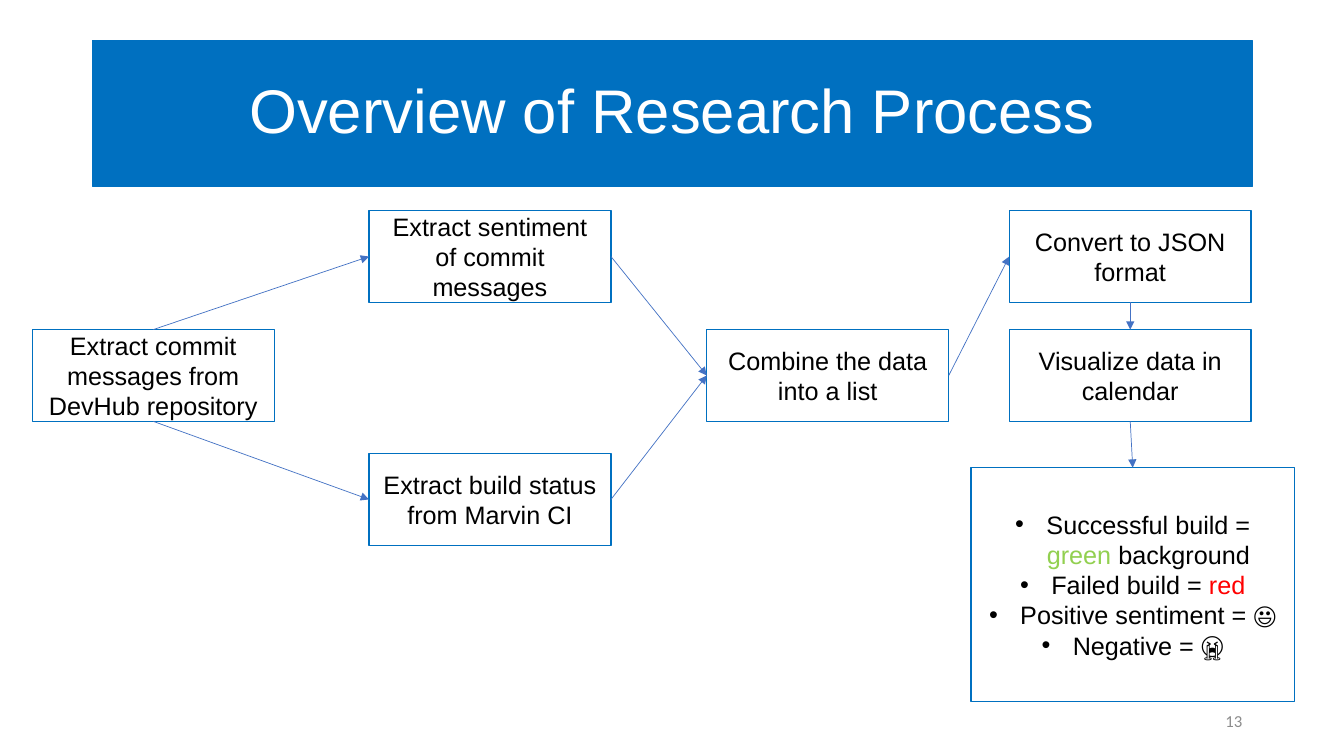
from dataclasses import dataclass

from lxml.etree import SubElement
from pptx import Presentation
from pptx.dml.color import RGBColor
from pptx.enum.shapes import MSO_CONNECTOR, MSO_SHAPE
from pptx.enum.text import MSO_ANCHOR, MSO_AUTO_SIZE, PP_ALIGN
from pptx.oxml.ns import qn
from pptx.util import Inches, Pt

BLUE, ARROW_BLUE, WHITE, BLACK = "0070C0", "4472C4", "FFFFFF", "000000"
GREEN, RED, GREY = "92D050", "FF0000", "8C8C8C"

# Grid of the process steps, in inches
COLUMNS = (0.32, 3.66, 7.01, 10.01)
ROWS = (2.09, 3.27, 4.5)
STEP_W, STEP_H = 2.4, 0.91
TOP, LEFT, BOTTOM, RIGHT = range(4)


@dataclass
class Step:
    name: str
    column: int
    row: int
    text: str


@dataclass
class Arrow:
    start: str
    start_side: int
    end: str
    end_side: int


STEPS = (
    Step("commits", 0, 1, "Extract commit messages from DevHub repository"),
    Step("sentiment", 1, 0, "Extract sentiment of commit messages"),
    Step("combine", 2, 1, "Combine the data into a list"),
    Step("convert", 3, 0, "Convert to JSON format"),
    Step("status", 1, 2, "Extract build status from Marvin CI"),
    Step("calendar", 3, 1, "Visualize data in calendar"),
)

ARROWS = (
    Arrow("commits", TOP, "sentiment", LEFT),
    Arrow("commits", BOTTOM, "status", LEFT),
    Arrow("sentiment", RIGHT, "combine", LEFT),
    Arrow("status", RIGHT, "combine", LEFT),
    Arrow("combine", RIGHT, "convert", LEFT),
    Arrow("convert", BOTTOM, "calendar", TOP),
    Arrow("calendar", BOTTOM, "legend", TOP),
)

# Each legend line is a list of (text, colour) runs
LEGEND = (
    (("Successful build = ", BLACK), ("green ", GREEN), ("background", BLACK)),
    (("Failed build = ", BLACK), ("red", RED)),
    (("Positive sentiment = 😃", BLACK),),
    (("Negative = 😭", BLACK),),
)


def rgb(value: str) -> RGBColor:
    return RGBColor.from_string(value)


def add_text(p, text: str, *, size=18, font="Arial", color=BLACK,
             align=PP_ALIGN.CENTER) -> None:
    p.alignment = align
    r = p.add_run()
    r.text = text
    r.font.size, r.font.name = Pt(size), font
    r.font.color.rgb = rgb(color)


def style_box(sp, fill: str, line_width: float) -> None:
    sp.fill.solid()
    sp.fill.fore_color.rgb = rgb(fill)
    sp.line.color.rgb = rgb(BLUE)
    sp.line.width = Pt(line_width)
    sp.text_frame.vertical_anchor = MSO_ANCHOR.MIDDLE
    sp.text_frame.word_wrap = True


def add_box(slide, x: float, y: float, w: float, h: float):
    sp = slide.shapes.add_shape(MSO_SHAPE.FLOWCHART_PROCESS,
                                Inches(x), Inches(y), Inches(w), Inches(h))
    sp.shadow.inherit = False
    style_box(sp, WHITE, 1)
    return sp


def add_bullet(p) -> None:
    pPr = p._p.get_or_add_pPr()
    pPr.set("marL", str(Inches(0.31)))
    pPr.set("indent", str(-Inches(0.31)))
    SubElement(pPr, qn("a:buFont"), typeface="Arial")
    SubElement(pPr, qn("a:buChar"), char="•")


def add_arrow(slide, boxes: dict, arrow: Arrow) -> None:
    line = slide.shapes.add_connector(MSO_CONNECTOR.STRAIGHT, 0, 0, 0, 0)
    line.begin_connect(boxes[arrow.start], arrow.start_side)
    line.end_connect(boxes[arrow.end], arrow.end_side)
    line.line.color.rgb = rgb(ARROW_BLUE)
    line.line.width = Pt(0.5)
    SubElement(line.line._get_or_add_ln(), qn("a:tailEnd"), type="triangle")
    SubElement(line._element.spPr, qn("a:effectLst"))


def add_title(slide, text: str) -> None:
    sp = slide.shapes.title
    sp.left, sp.top = Inches(0.92), Inches(0.4)
    sp.width, sp.height = Inches(11.5), Inches(1.45)
    style_box(sp, BLUE, 0.75)
    sp.text_frame.auto_size = MSO_AUTO_SIZE.NONE
    p = sp.text_frame.paragraphs[0]
    p.line_spacing = 0.9
    add_text(p, text, size=44, color=WHITE)


def add_legend(slide):
    sp = add_box(slide, 9.63, 4.64, 3.21, 2.32)
    tf = sp.text_frame
    for i, runs in enumerate(LEGEND):
        p = tf.add_paragraph() if i else tf.paragraphs[0]
        add_bullet(p)
        for text, color in runs:
            add_text(p, text, color=color)
    return sp


def add_page_number(slide, number: str) -> None:
    sp = slide.shapes.add_textbox(Inches(9.42), Inches(6.95), Inches(3), Inches(0.4))
    tf = sp.text_frame
    tf.word_wrap = True
    tf.vertical_anchor = MSO_ANCHOR.MIDDLE
    add_text(tf.paragraphs[0], number, size=12, font="Calibri", color=GREY,
             align=PP_ALIGN.RIGHT)


def main() -> None:
    prs = Presentation()
    prs.slide_width, prs.slide_height = Inches(13.33), Inches(7.5)
    slide = prs.slides.add_slide(prs.slide_layouts[5])

    # Title and page number
    add_title(slide, "Overview of Research Process")
    add_page_number(slide, "13")

    # Process steps and legend
    boxes = {}
    for step in STEPS:
        sp = add_box(slide, COLUMNS[step.column], ROWS[step.row], STEP_W, STEP_H)
        add_text(sp.text_frame.paragraphs[0], step.text)
        boxes[step.name] = sp
    boxes["legend"] = add_legend(slide)

    # Flow between the steps
    for arrow in ARROWS:
        add_arrow(slide, boxes, arrow)

    prs.save("out.pptx")


if __name__ == "__main__":
    main()
